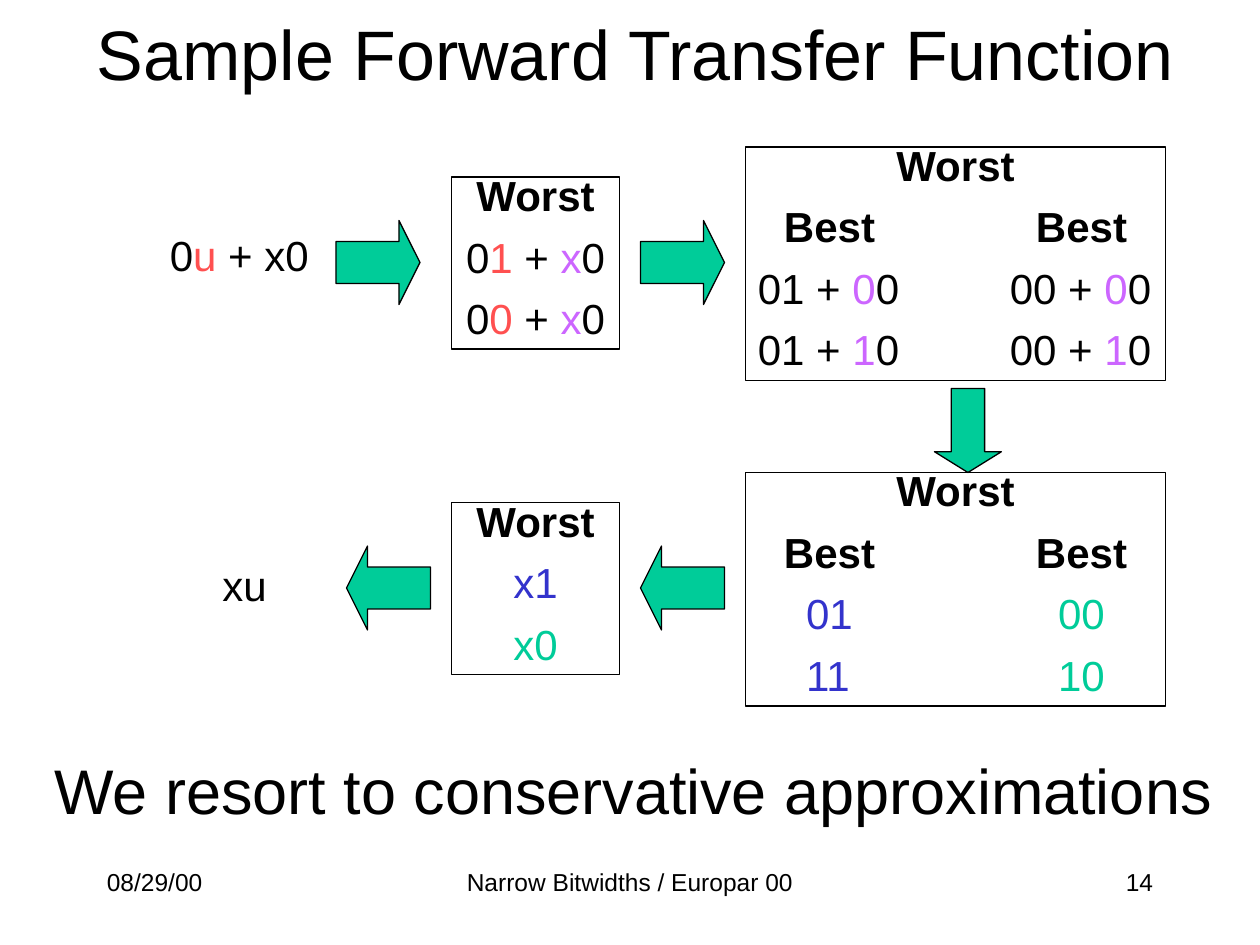
from dataclasses import dataclass
from lxml.etree import SubElement
from pptx import Presentation
from pptx.dml.color import RGBColor
from pptx.enum.shapes import MSO_SHAPE
from pptx.enum.text import MSO_ANCHOR, PP_ALIGN
from pptx.oxml.ns import qn
from pptx.util import Emu, Pt

EMU_PER_PX = 9525
TAB_PX = 96


@dataclass(frozen=True)
class Theme:
    font: str = "Arial"
    black: str = "000000"
    red: str = "FF5050"
    violet: str = "CC66FF"
    blue: str = "3333CC"
    green: str = "00CC99"
    title_pt: int = 40
    summary_pt: int = 36
    body_pt: int = 24
    footer_pt: int = 14
    gap_pt: int = 15
    outline_pt: float = 0.75
    tight: float = 0.7


T = Theme()


@dataclass(frozen=True)
class Rect:
    x: int
    y: int
    w: int
    h: int


@dataclass(frozen=True)
class Span:
    text: str
    color: str = T.black
    bold: bool = False


@dataclass(frozen=True)
class Line:
    spans: tuple[Span, ...]
    align: PP_ALIGN = PP_ALIGN.CENTER


@dataclass(frozen=True)
class Label:
    rect: Rect
    line: Line
    size: int
    spacing: float = 1.0
    anchor: MSO_ANCHOR = MSO_ANCHOR.TOP
    wrap: bool = True


@dataclass(frozen=True)
class Box:
    rect: Rect
    lines: tuple[Line, ...]


@dataclass(frozen=True)
class Arrow:
    rect: Rect
    kind: MSO_SHAPE
    head: float = 0.25


def line(text: str, align: PP_ALIGN = PP_ALIGN.CENTER,
         color: str = T.black, bold: bool = False) -> Line:
    return Line((Span(text, color, bold),), align)


def partial_sum(bit: str) -> Line:
    return Line((Span("0"), Span(bit, T.red), Span(" + "),
                 Span("x", T.violet), Span("0")))


def expanded_sums(bit: str) -> Line:
    return Line((Span("01 + "), Span(bit, T.violet), Span("0\t00 + "),
                 Span(bit, T.violet), Span("0")), PP_ALIGN.LEFT)


def result_pair(left: str, right: str) -> Line:
    return Line((Span(f"{left}\t\t", T.blue), Span(right, T.green)))


WORST = line("Worst", bold=True)
BEST = line("Best\t\tBest", bold=True)

LABELS = (
    Label(Rect(48, 16, 872, 48), line("Sample Forward Transfer Function"),
          T.title_pt, anchor=MSO_ANCHOR.MIDDLE),
    Label(Rect(120, 181, 130, 36),
          Line((Span("0"), Span("u", T.red), Span(" + x0")), PP_ALIGN.LEFT),
          T.body_pt, T.tight),
    Label(Rect(160, 432, 64, 36), line("xu", PP_ALIGN.LEFT), T.body_pt, T.tight),
    Label(Rect(32, 568, 902, 67),
          line("We resort to conservative approximations", PP_ALIGN.LEFT),
          T.summary_pt, wrap=False),
    Label(Rect(328, 656, 304, 48), line("Narrow Bitwidths / Europar 00"), T.footer_pt),
    Label(Rect(688, 656, 200, 48), line("14", PP_ALIGN.RIGHT), T.footer_pt),
    Label(Rect(72, 656, 200, 48), line("08/29/00", PP_ALIGN.LEFT), T.footer_pt),
)

BOXES = (
    Box(Rect(344, 135, 128, 131), (WORST, partial_sum("1"), partial_sum("0"))),
    Box(Rect(568, 112, 320, 178),
        (WORST, BEST, expanded_sums("0"), expanded_sums("1"))),
    Box(Rect(568, 360, 320, 178),
        (WORST, BEST, result_pair("01", "00"), result_pair("11", "10"))),
    Box(Rect(344, 383, 128, 131),
        (WORST, line("x1", color=T.blue), line("x0", color=T.green))),
)

ARROWS = (
    Arrow(Rect(256, 168, 64, 64), MSO_SHAPE.RIGHT_ARROW),
    Arrow(Rect(488, 168, 64, 64), MSO_SHAPE.RIGHT_ARROW),
    Arrow(Rect(712, 296, 51, 64), MSO_SHAPE.DOWN_ARROW, 0.31),
    Arrow(Rect(488, 416, 64, 64), MSO_SHAPE.LEFT_ARROW),
    Arrow(Rect(264, 416, 64, 64), MSO_SHAPE.LEFT_ARROW),
)


def px(n: int) -> Emu:
    return Emu(n * EMU_PER_PX)


def place(rect: Rect) -> tuple[Emu, ...]:
    return px(rect.x), px(rect.y), px(rect.w), px(rect.h)


def add_tabs(p) -> None:
    tabs = SubElement(p._p.get_or_add_pPr(), qn("a:tabLst"))
    for i in range(1, 8):
        SubElement(tabs, qn("a:tab"), pos=str(px(i * TAB_PX)), algn="l")


def write_line(p, content: Line, size: int, spacing: float) -> None:
    p.alignment = content.align
    p.line_spacing = spacing
    if any("\t" in span.text for span in content.spans):
        add_tabs(p)
    for span in content.spans:
        r = p.add_run()
        r.text = span.text
        r.font.name = T.font
        r.font.size = Pt(size)
        r.font.bold = span.bold
        r.font.color.rgb = RGBColor.from_string(span.color)


def draw_label(s, label: Label) -> None:
    tf = s.shapes.add_textbox(*place(label.rect)).text_frame
    tf.word_wrap = label.wrap
    tf.vertical_anchor = label.anchor
    write_line(tf.paragraphs[0], label.line, label.size, label.spacing)


def add_outlined(s, kind: MSO_SHAPE, rect: Rect):
    sp = s.shapes.add_shape(kind, *place(rect))
    sp.shadow.inherit = False
    sp.line.color.rgb = RGBColor.from_string(T.black)
    sp.line.width = Pt(T.outline_pt)
    return sp


def draw_box(s, box: Box) -> None:
    sp = add_outlined(s, MSO_SHAPE.RECTANGLE, box.rect)
    sp.fill.background()
    tf = sp.text_frame
    tf.word_wrap = True
    tf.vertical_anchor = MSO_ANCHOR.TOP
    for i, content in enumerate(box.lines):
        p = tf.add_paragraph() if i else tf.paragraphs[0]
        if i:
            p.space_before = Pt(T.gap_pt)
        write_line(p, content, T.body_pt, T.tight)


def draw_arrow(s, arrow: Arrow) -> None:
    sp = add_outlined(s, arrow.kind, arrow.rect)
    sp.adjustments[0] = 0.5
    sp.adjustments[1] = arrow.head
    sp.fill.solid()
    sp.fill.fore_color.rgb = RGBColor.from_string(T.green)


def main() -> None:
    prs = Presentation()
    prs.slide_width, prs.slide_height = px(960), px(720)
    s = prs.slides.add_slide(prs.slide_layouts[6])
    for box in BOXES:
        draw_box(s, box)
    for arrow in ARROWS:
        draw_arrow(s, arrow)
    for label in LABELS:
        draw_label(s, label)
    prs.save("out.pptx")


if __name__ == "__main__":
    main()
